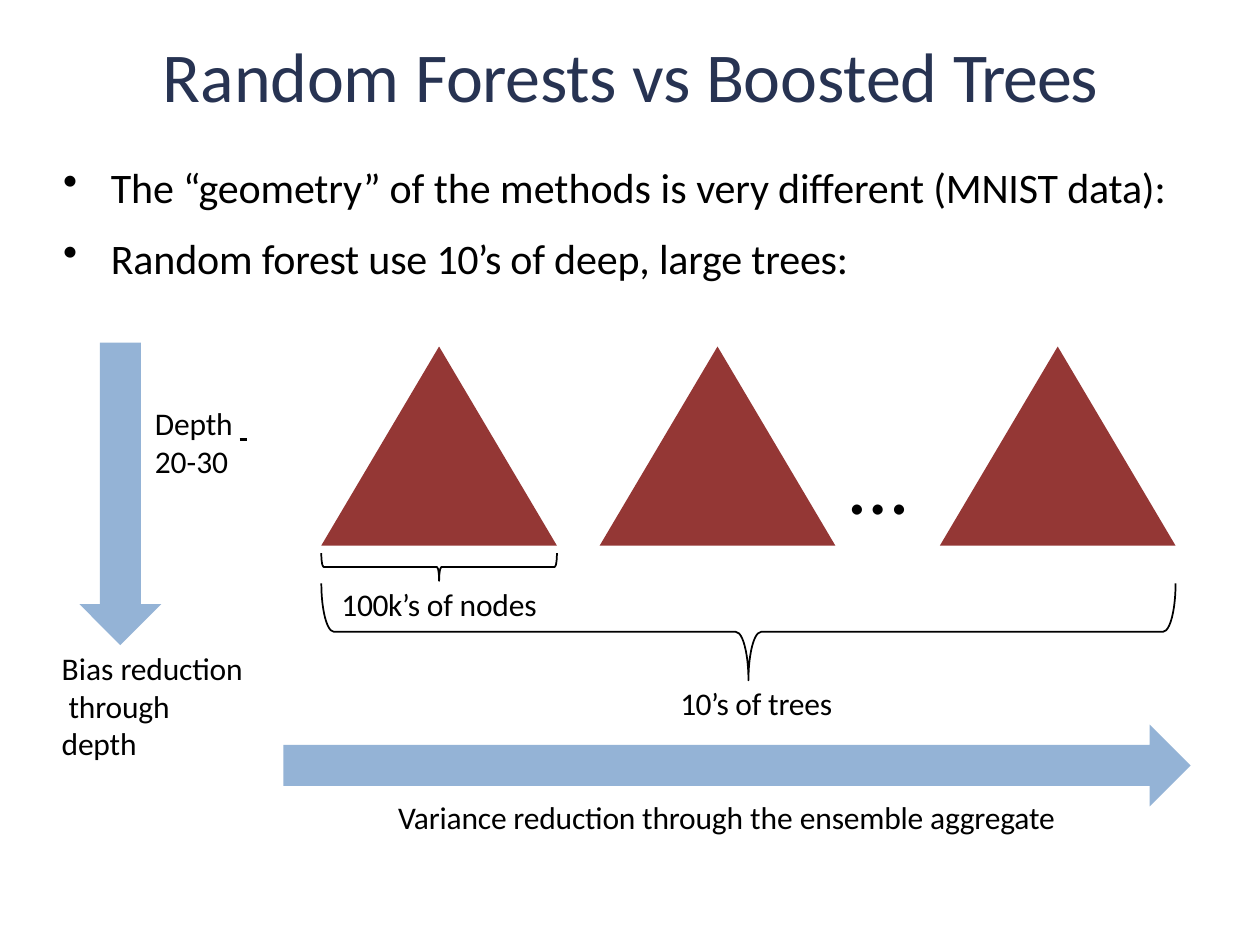
from lxml.etree import SubElement
from pptx import Presentation
from pptx.dml.color import RGBColor
from pptx.enum.shapes import MSO_SHAPE
from pptx.enum.text import MSO_ANCHOR, PP_ALIGN
from pptx.oxml.ns import qn
from pptx.util import Inches, Pt

THEME = {
    "font": "Calibri", "title": 40, "body": 24, "label": 18, "dots": 48,
    "navy": RGBColor.from_string("273352"),
    "black": RGBColor.from_string("000000"),
    "tree": RGBColor.from_string("943735"),
    "arrow": RGBColor.from_string("94B3D6"),
}

# Runs are (text, letter spacing in points)
TITLE = [("Random ", -0.1), ("Forests ", -0.2), ("vs Boosted ", -0.1), ("Trees", -0.7)]
BULLETS = [
    [("The “geometry” of ", -0.1), ("the methods is ", 0),
     ("very different (MNIST data):", -0.1)],
    [("Random ", -0.1), ("forest ", -0.2), ("use ", -0.1), ("10’s ", -0.4),
     ("of deep, large trees:", -0.1)],
]
# (left, top, width, height), size, runs
LABELS = [
    ((6.74, 3.41, 0.49, 0.83), "dots", [("…", 0)]),
    ((1.23, 3.5, 0.65, 0.33), "label", [("20", -0.1), ("-", 0), ("30", -0.1)]),
    ((5.4, 5.42, 1.3, 0.33), "label", [("10’s ", -0.3), ("of trees", -0.1)]),
    ((2.71, 4.63, 1.65, 0.33), "label", [("100k’s ", -0.2), ("of nodes", -0.1)]),
    ((0.49, 5.14, 1.5, 0.93), "label",
     [("Bias ", 0), ("reduction\v through\vdepth", -0.1)]),
    ((3.16, 6.32, 5.4, 0.33), "label",
     [("Variance reduction through ", -0.1), ("the ", 0), ("ensemble aggregate", -0.1)]),
]
TREE_LEFTS = [2.55, 4.76, 7.46]
TREE_TOP, TREE_W, TREE_H = 2.75, 1.87, 1.58
# left, top, width, height, corner radius as a share of the height
FOREST_W = TREE_LEFTS[-1] + TREE_W - TREE_LEFTS[0]
BRACES = [(TREE_LEFTS[0], 4.63, FOREST_W, 0.77, 0.13),
          (TREE_LEFTS[0], 4.39, TREE_W, 0.22, 0.08)]
ARROWS = [(MSO_SHAPE.DOWN_ARROW, (0.63, 2.72, 0.65, 2.4)),
          (MSO_SHAPE.RIGHT_ARROW, (2.25, 5.75, 7.2, 0.65))]


def add_runs(p, runs, size, color=THEME["black"]):
    for text, spacing in runs:
        for i, line in enumerate(text.split("\v")):
            if i:
                p.add_line_break()
            r = p.add_run()
            r.text = line
            r.font.name = THEME["font"]
            r.font.size = Pt(THEME[size])
            r.font.color.rgb = color
            r.font._element.set("spc", str(round(spacing * 100)))


def set_frame(tf, top=0.01):
    tf.word_wrap = True
    tf.margin_left = tf.margin_right = tf.margin_bottom = 0
    tf.margin_top = Inches(top)


def add_text(s, box, top=0.01):
    tf = s.shapes.add_textbox(*map(Inches, box)).text_frame
    set_frame(tf, top)
    return tf


def add_tab(p, position):
    tabs = SubElement(p._p.get_or_add_pPr(), qn("a:tabLst"))
    SubElement(tabs, qn("a:tab"), pos=str(Inches(position)), algn="l")


def add_bullet(p):
    pPr = p._p.get_or_add_pPr()
    pPr.set("marL", str(Inches(0.39)))
    pPr.set("indent", str(Inches(-0.38)))
    SubElement(pPr, qn("a:buChar"), char="•")


def add_filled(s, kind, box, color):
    sp = s.shapes.add_shape(kind, *map(Inches, box))
    sp.shadow.inherit = False
    sp.fill.solid()
    sp.fill.fore_color.rgb = color
    sp.line.fill.background()


def add_brace(s, left, top, width, height, corner):
    """Draw a brace that points down: a right brace turned by 90 degrees."""
    x, y = left + (width - height) / 2, top + (height - width) / 2
    sp = s.shapes.add_shape(MSO_SHAPE.RIGHT_BRACE, *map(Inches, (x, y, height, width)))
    sp.rotation = 90
    sp.adjustments[0] = corner
    sp.shadow.inherit = False
    sp.fill.background()
    sp.line.color.rgb = THEME["black"]
    sp.line.width = Pt(1)


def main():
    prs = Presentation()
    prs.slide_width, prs.slide_height = Inches(10), Inches(7.5)
    s = prs.slides.add_slide(prs.slide_layouts[5])

    title = s.shapes.title
    title.left, title.top, title.width, title.height = map(Inches, (1.23, 0.24, 7.55, 0.69))
    set_frame(title.text_frame)
    title.text_frame.vertical_anchor = MSO_ANCHOR.MIDDLE
    p = title.text_frame.paragraphs[0]
    p.alignment = PP_ALIGN.CENTER
    add_runs(p, TITLE, "title", THEME["navy"])

    tf = add_text(s, (0.49, 1.1, 8.86, 1.16), top=0.18)
    for i, runs in enumerate(BULLETS):
        p = tf.add_paragraph() if i else tf.paragraphs[0]
        if i:
            p.space_before = Pt(12)
        add_bullet(p)
        add_runs(p, runs, "body")

    for left in TREE_LEFTS:
        add_filled(s, MSO_SHAPE.ISOSCELES_TRIANGLE,
                   (left, TREE_TOP, TREE_W, TREE_H), THEME["tree"])
    for brace in BRACES:
        add_brace(s, *brace)
    for kind, box in ARROWS:
        add_filled(s, kind, box, THEME["arrow"])

    for box, size, runs in LABELS:
        add_runs(add_text(s, box).paragraphs[0], runs, size)

    # The depth label ends in a short underlined tab
    p = add_text(s, (1.23, 3.2, 0.98, 0.33)).paragraphs[0]
    add_tab(p, 0.97)
    add_runs(p, [("Depth ", -0.1), (" \t", 0)], "label")
    p.runs[-1].font.underline = True

    prs.save("out.pptx")


if __name__ == "__main__":
    main()
